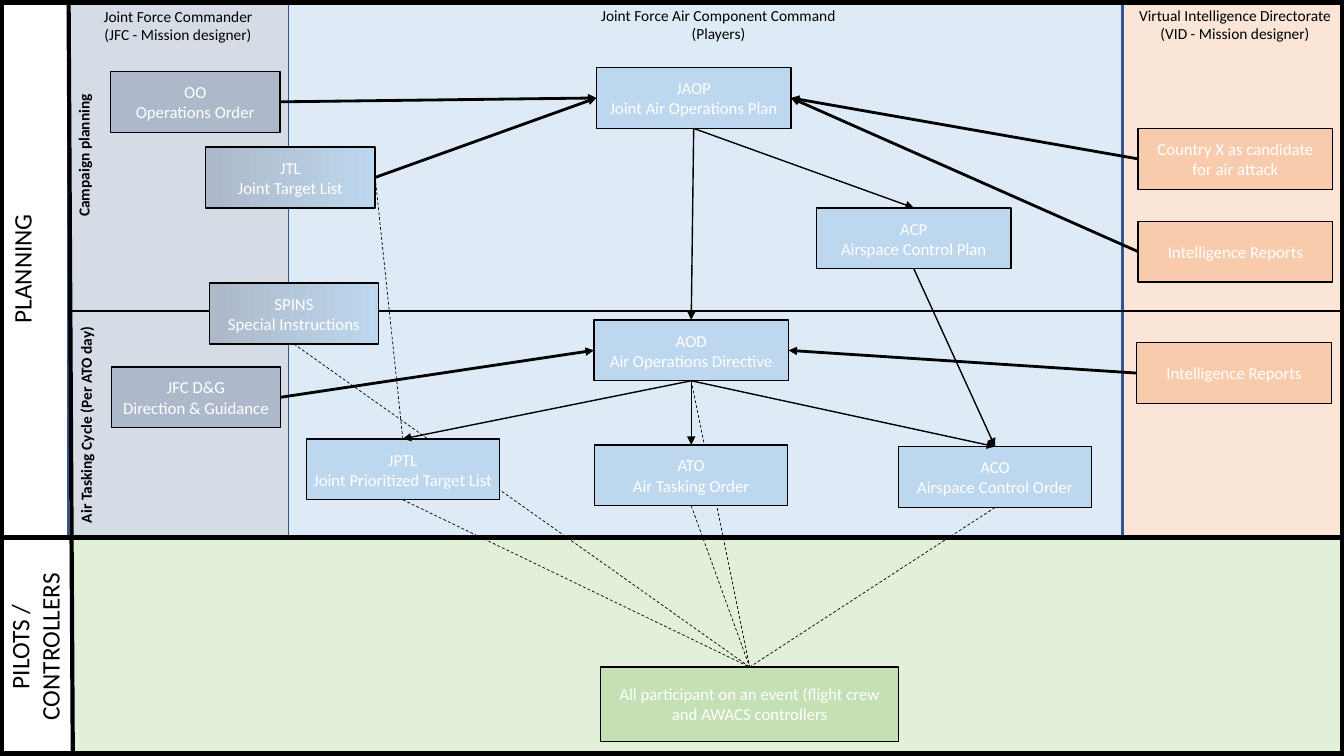
from dataclasses import dataclass, field
from typing import Any

from lxml.etree import SubElement
from pptx import Presentation
from pptx.dml.color import RGBColor
from pptx.enum.dml import MSO_LINE
from pptx.enum.shapes import MSO_CONNECTOR as CONN, MSO_SHAPE as SHAPE
from pptx.enum.text import MSO_ANCHOR as ANCHOR, MSO_AUTO_SIZE as AUTO, PP_ALIGN as ALIGN
from pptx.oxml.ns import qn
from pptx.util import Pt

TOP, LEFT, BOTTOM, RIGHT = range(4)


@dataclass(frozen=True)
class Theme:
    font: str = "Calibri"
    ink: str = "000000"
    paper: str = "FFFFFF"
    panel_line: str = "325491"
    jfc_panel: str = "D6DCE5"
    jfc: str = "ADB9CA"
    air_panel: str = "DEEBF7"
    air: str = "BDD7EE"
    intel_panel: str = "FBE5D6"
    intel: str = "F8CBAD"
    crew_panel: str = "E2F0D9"
    crew: str = "C5E0B4"
    phase_size: float = 18
    box_size: float = 12
    head_size: float = 11


def apply(obj, values):
    for name, value in values.items():
        setattr(obj, name, value)


def rgb(color):
    return RGBColor.from_string(color)


@dataclass
class Board:
    s: Any
    th: Theme = field(default_factory=Theme)

    def fill_text(self, sp, lines, size, color, bold=False):
        tf = sp.text_frame
        tf.word_wrap = True
        for i, line in enumerate(lines):
            p = tf.add_paragraph() if i else tf.paragraphs[0]
            p.alignment = ALIGN.CENTER
            r = p.add_run()
            r.text = line
            apply(r.font, {"name": self.th.font, "size": Pt(size), "bold": bold})
            r.font.color.rgb = rgb(color)
        return tf

    def rect(self, x, y, w, h, fill=None, line=None, weight=1):
        sp = self.s.shapes.add_shape(SHAPE.RECTANGLE, Pt(x), Pt(y), Pt(w), Pt(h))
        sp.shadow.inherit = False
        if fill is None:
            sp.fill.background()
        elif isinstance(fill, str):
            sp.fill.solid()
            sp.fill.fore_color.rgb = rgb(fill)
        else:
            sp.fill.gradient()
            sp.fill.gradient_angle = 0
            for stop, position, color in zip(sp.fill.gradient_stops, (0.05, 1), fill):
                stop.position = position
                stop.color.rgb = rgb(color)
        sp.line.color.rgb = rgb(line or self.th.ink)
        sp.line.width = Pt(weight)
        return sp

    def box(self, x, y, fill, *lines, w=139, h=43.5, inset=7.2):
        sp = self.rect(x, y, w, h, fill)
        tf = self.fill_text(sp, lines, self.th.box_size, self.th.paper)
        apply(tf, {"vertical_anchor": ANCHOR.MIDDLE,
                   "margin_left": Pt(inset), "margin_right": Pt(inset)})
        return sp

    def label(self, x, y, w, h, size, *lines, turn=0, bold=False):
        sp = self.s.shapes.add_textbox(Pt(x), Pt(y), Pt(w), Pt(h))
        sp.rotation = turn
        tf = self.fill_text(sp, lines, size, self.th.ink, bold)
        tf.auto_size = AUTO.SHAPE_TO_FIT_TEXT

    def rule(self, x1, y1, x2, y2, weight):
        c = self.s.shapes.add_connector(CONN.STRAIGHT, Pt(x1), Pt(y1), Pt(x2), Pt(y2))
        c.line.color.rgb = rgb(self.th.ink)
        c.line.width = Pt(weight)
        SubElement(c._element.spPr, qn("a:effectLst"))
        return c

    def link(self, start, start_side, end, end_side, weight):
        c = self.rule(0, 0, 0, 0, weight)
        c.begin_connect(start, start_side)
        c.end_connect(end, end_side)
        return c

    def arrow(self, start, start_side, end, end_side, weight=1):
        c = self.link(start, start_side, end, end_side, weight)
        SubElement(c._element.spPr.find(qn("a:ln")), qn("a:tailEnd"), type="triangle")

    def dashed(self, start, start_side, end, end_side):
        c = self.link(start, start_side, end, end_side, 0.5)
        c.line.dash_style = MSO_LINE.DASH


def main():
    prs = Presentation()
    apply(prs, {"slide_width": Pt(960), "slide_height": Pt(540)})
    b = Board(prs.slides.add_slide(prs.slide_layouts[6]))
    th = b.th
    shared = (th.jfc, th.air)

    for x, y, w, h, fill in (
        (206, 0, 595.5, 384, th.air_panel),
        (48.5, 0, 157.5, 384, th.jfc_panel),
        (802.5, 0, 157.5, 384, th.intel_panel),
        (52, 384, 908, 156, th.crew_panel),
    ):
        b.rect(x, y, w, h, fill, th.panel_line)

    b.rule(0, 384, 960, 384, 3)
    b.rule(49, 0, 52, 540, 3)
    b.rule(50.5, 222, 960, 222, 1.75)

    b.label(-176.5, 177.5, 384, 29, th.phase_size, "PLANNING", turn=270)
    b.label(-53, 436.5, 156, 51, th.phase_size, "PILOTS /", "CONTROLLERS", turn=270)
    b.label(-50.5, 100.5, 221, 21, th.head_size, "Campaign planning", turn=270, bold=True)
    b.label(-19.5, 293, 162, 21, th.head_size, "Air Tasking Cycle (Per ATO day)",
            turn=270, bold=True)
    b.label(48.5, 1.25, 157.5, 34, th.head_size,
            "Joint Force Commander", "(JFC - Mission designer)")
    b.label(272, 0.75, 482.5, 34, th.head_size,
            "Joint Force Air Component Command", "(Players)")
    b.label(803.5, 0.75, 157.5, 34, th.head_size,
            "Virtual Intelligence Directorate (VID - Mission designer)")

    order = b.box(79, 51, th.jfc, "OO", "Operations Order", w=121)
    guidance = b.box(79.5, 262, th.jfc, "JFC D&G", "Direction & Guidance", w=121)
    targets = b.box(147, 105, shared, "JTL", "Joint Target List", w=121)
    spins = b.box(149.5, 202.25, shared, "SPINS", "Special Instructions", w=121)
    country = b.box(813, 91.75, th.intel, "Country X as candidate for air attack")
    reports = b.box(813, 158, th.intel, "Intelligence Reports")
    daily = b.box(812, 244.75, th.intel, "Intelligence Reports")
    jaop = b.box(426, 48.25, th.air, "JAOP", "Joint Air Operations Plan")
    acp = b.box(583.25, 148.5, th.air, "ACP", "Airspace Control Plan")
    aod = b.box(424.25, 228.5, th.air, "AOD", "Air Operations Directive")
    aco = b.box(641.75, 319, th.air, "ACO", "Airspace Control Order", w=138)
    crew = b.box(429, 476.5, th.crew,
                 "All participant on an event (flight crew and AWACS controllers", w=213, h=53)

    for source in (spins, aod):
        b.dashed(source, BOTTOM, crew, TOP)
    jptl = b.box(218.75, 313.5, th.air, "JPTL", "Joint Prioritized Target List",
                 w=138, inset=0)
    ato = b.box(424.75, 317.75, th.air, "ATO", "Air Tasking Order", w=138)
    for source in (jptl, ato, aco):
        b.dashed(source, BOTTOM, crew, TOP)
    b.dashed(targets, RIGHT, jptl, TOP)

    for source, plan in ((order, jaop), (targets, jaop), (guidance, aod)):
        b.arrow(source, RIGHT, plan, LEFT, 2)
    for source, plan in ((country, jaop), (reports, jaop), (daily, aod)):
        b.arrow(source, LEFT, plan, RIGHT, 2)
    for source, product in ((jaop, acp), (jaop, aod), (acp, aco),
                            (aod, jptl), (aod, ato), (aod, aco)):
        b.arrow(source, BOTTOM, product, TOP)

    b.rect(-0.5, 0, 961, 540, weight=6.5)
    prs.save("out.pptx")


if __name__ == "__main__":
    main()
